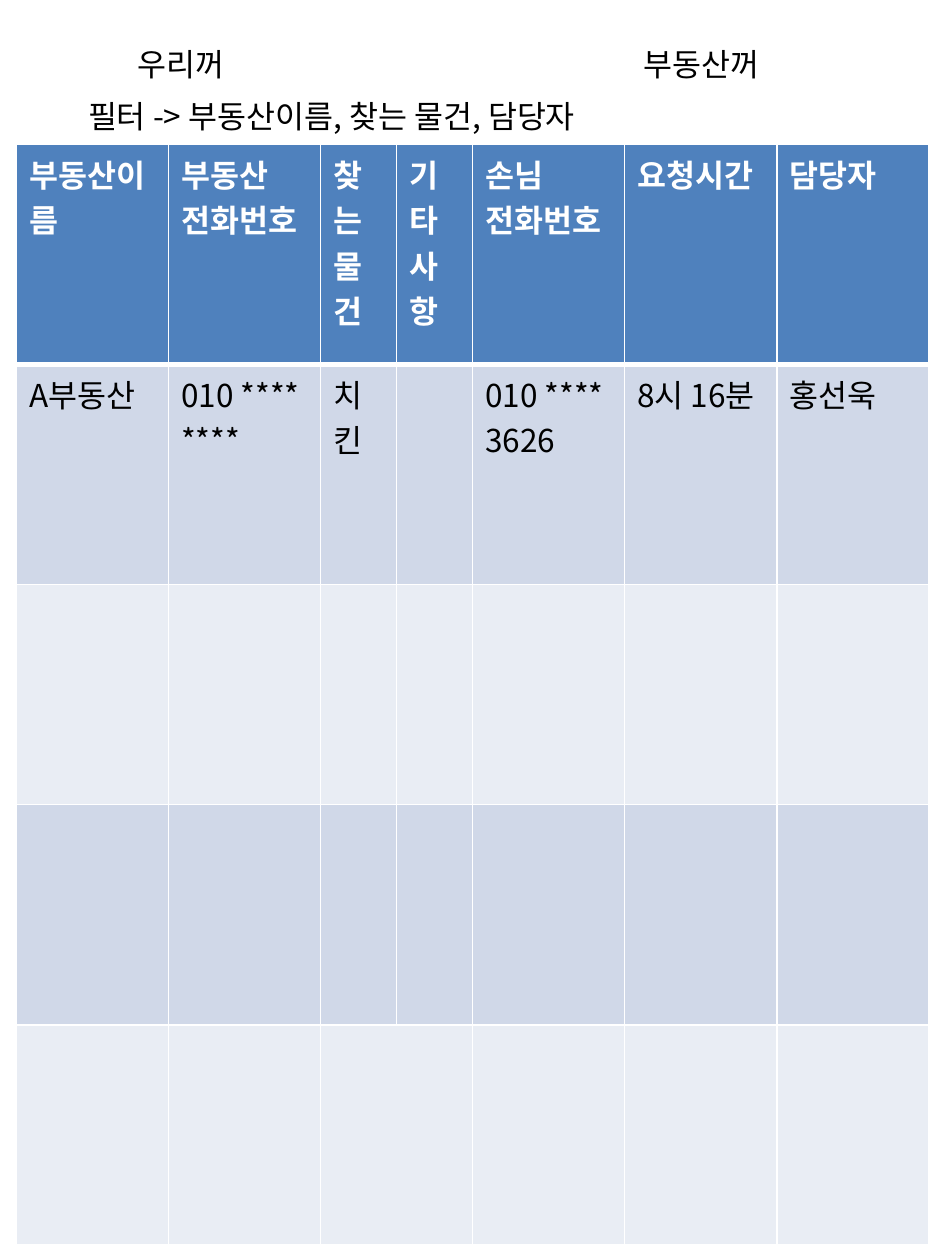
from dataclasses import dataclass
from lxml.etree import SubElement
from pptx import Presentation
from pptx.dml.color import RGBColor as RGB
from pptx.enum.text import MSO_AUTO_SIZE as AutoSize
from pptx.oxml import parse_xml
from pptx.oxml.ns import nsdecls, qn
from pptx.util import Pt


@dataclass(frozen=True)
class Theme:
    font: str = "Noto Sans CJK KR"
    size: float = 18
    ink: str = "000000"
    paper: str = "FFFFFF"
    header: str = "4F81BD"
    bands: tuple = ("D0D8E8", "E9EDF4")
    rule: float = 1
    header_rule: float = 3


THEME = Theme()
LABELS = [
    ("우리꺼", 71.3, 22.3, 69.1),
    ("부동산꺼", 360.7, 22.3, 87.1),
    ("필터 -> 부동산이름, 찾는 물건, 담당자", 43.2, 51.8, 329.8),
]
HEADINGS = ["부동산이름", "부동산 전화번호", "찾는 물건", "기타사항",
            "손님 전화번호", "요청시간", "담당자"]
REQUEST = ["A부동산", "010 **** ****", "치킨", "", "010 **** 3626", "8시 16분", "홍선욱"]
WIDE, NARROW, ROW_HEIGHT, ROWS = 86.9, 43.45, 125.8, 5
COLUMNS = [WIDE, WIDE, NARROW, NARROW, WIDE, WIDE, WIDE]


def apply(target, values):
    for name, value in values.items():
        setattr(target, name, value)


def write(frame, words, color, bold=False):
    run = frame.paragraphs[0].add_run()
    run.text = words
    apply(run.font, {"name": THEME.font, "size": Pt(THEME.size), "bold": bold})
    run.font.color.rgb = RGB.from_string(color)
    SubElement(run.font._element, qn("a:ea"), typeface=THEME.font)


def add_label(slide, words, left, top, width):
    frame = slide.shapes.add_textbox(Pt(left), Pt(top), Pt(width), Pt(29)).text_frame
    apply(frame, {"word_wrap": False, "auto_size": AutoSize.SHAPE_TO_FIT_TEXT})
    write(frame, words, THEME.ink)


def add_borders(cell, widths):
    properties = cell._tc.get_or_add_tcPr()
    for place, (side, width) in enumerate(widths.items()):
        properties.insert(place, parse_xml(
            f'<a:ln{side} {nsdecls("a")} w="{Pt(width)}"><a:solidFill>'
            f'<a:srgbClr val="{THEME.paper}"/></a:solidFill></a:ln{side}>'))


def style_cell(cell, row):
    fill = THEME.bands[(row - 1) % 2] if row else THEME.header
    cell.fill.solid()
    cell.fill.fore_color.rgb = RGB.from_string(fill)
    add_borders(cell, {
        "L": THEME.rule,
        "R": THEME.rule,
        "T": THEME.header_rule if row == 1 else THEME.rule,
        "B": THEME.header_rule if row == 0 else THEME.rule,
    })


def add_requests(slide):
    table = slide.shapes.add_table(
        ROWS, len(COLUMNS), Pt(9.5), Pt(82.5),
        Pt(sum(COLUMNS)), Pt(ROW_HEIGHT * ROWS)).table
    for column, width in zip(table.columns, COLUMNS):
        column.width = Pt(width)
    for index, row in enumerate(table.rows):
        row.height = Pt(ROW_HEIGHT)
        for cell in row.cells:
            style_cell(cell, index)
    for index, (entries, color) in enumerate([(HEADINGS, THEME.paper), (REQUEST, THEME.ink)]):
        for column, words in enumerate(entries):
            if words:
                write(table.cell(index, column).text_frame, words, color, bold=index == 0)
    table.cell(ROWS - 1, 2).merge(table.cell(ROWS - 1, 3))


def main():
    deck = Presentation()
    apply(deck, {"slide_width": Pt(540), "slide_height": Pt(720)})
    slide = deck.slides.add_slide(deck.slide_layouts[6])
    add_requests(slide)
    for label in LABELS:
        add_label(slide, *label)
    deck.save("out.pptx")


main()
